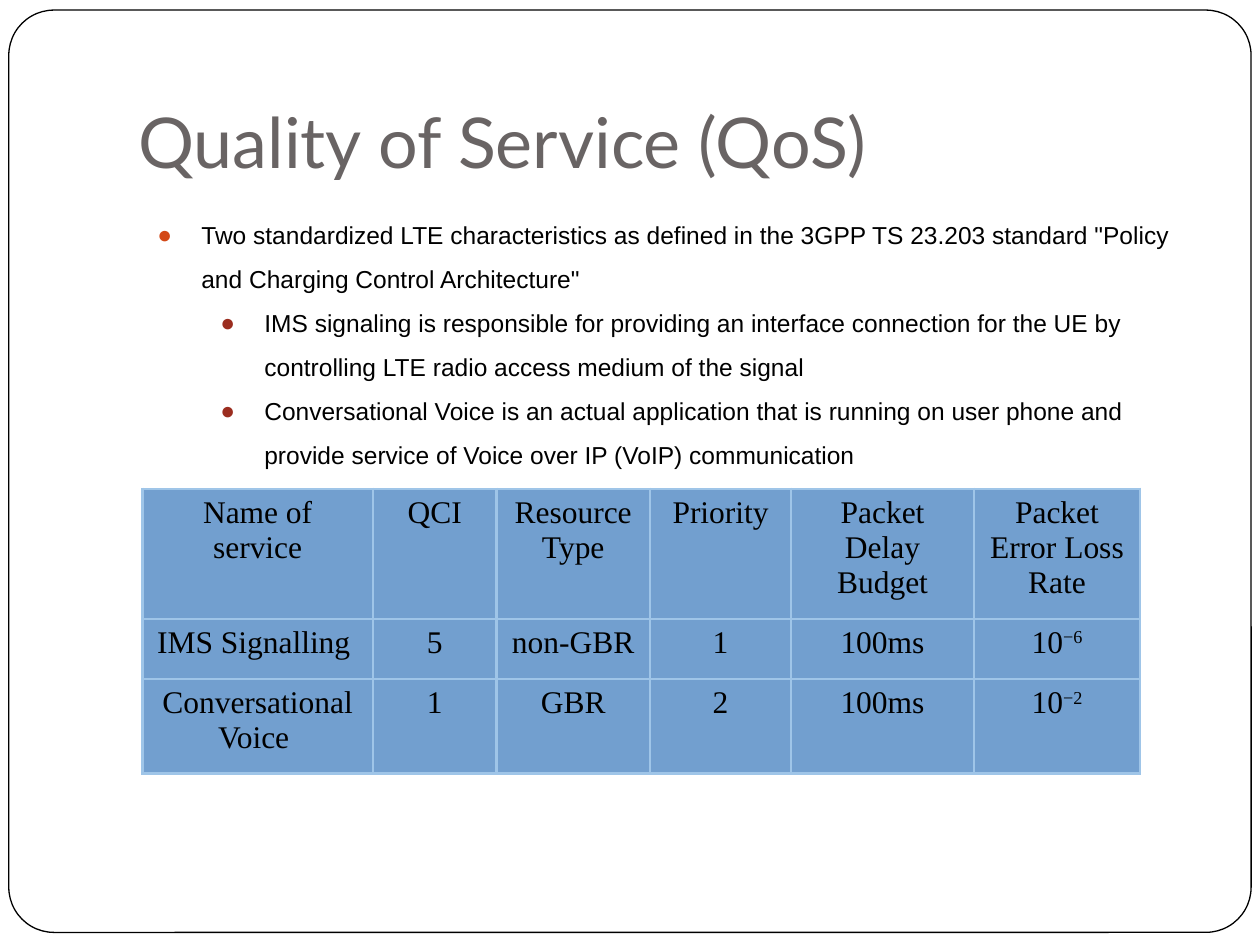
from lxml import etree
from pptx import Presentation
from pptx import util as u
from pptx.dml import color
from pptx.enum import shapes, text
from pptx.oxml import ns

COLUMNS, ROWS = 100, 75
CELL = u.Inches(0.1)

TITLE = "Quality of Service (QoS)"
POINTS = [
    (0, "D34817", 'Two standardized LTE characteristics as defined in the 3GPP TS 23.203 '
                  'standard "Policy and Charging Control Architecture"'),
    (1, "9B2D1F", "IMS signaling is responsible for providing an interface connection for the UE by "
                  "controlling LTE radio access medium of the signal"),
    (1, "9B2D1F", "Conversational Voice is an actual application that is running on user phone and "
                  "provide service of Voice over IP (VoIP) communication"),
]
SERVICES = [
    ["Name of service", "QCI", "Resource Type", "Priority", "Packet Delay Budget", "Packet Error Loss Rate"],
    ["IMS Signalling ", "5", "non-GBR", "1", "100ms", "10^−6"],
    ["Conversational Voice ", "1", "GBR", "2", "100ms", "10^−2"],
]
SERVICE_COLUMNS = [18.3, 9.8, 12.2, 11.2, 14.5, 13.2]
SERVICE_ROWS = [10.3, 4.8, 7.5]


def grid(count):
    return u.Emu(round(count * CELL))


def rgb(value):
    return color.RGBColor.from_string(value)


def add_xml(parent, tag, **attributes):
    return etree.SubElement(parent, ns.qn(tag), attributes)


def style_span(span, font, size, value):
    span.font.name = font
    span.font.size = u.Pt(size)
    span.font.bold = False
    span.font.color.rgb = rgb(value)


def add_frame(page, box):
    frame = page.shapes.add_shape(shapes.MSO_SHAPE.ROUNDED_RECTANGLE, *map(grid, box))
    frame.adjustments[0] = 0.049
    frame.shadow.inherit = False
    frame.fill.solid()
    frame.fill.fore_color.rgb = rgb("FFFFFF")
    frame.line.color.rgb = rgb("000000")
    frame.line.width = u.Pt(0.75)


def add_title(page, box):
    frame = page.shapes.add_textbox(*map(grid, box)).text_frame
    frame.word_wrap = True
    frame.vertical_anchor = text.MSO_ANCHOR.BOTTOM
    frame.margin_bottom = grid(1)
    frame.text = TITLE
    style_span(frame.paragraphs[0].runs[0], "Lato", 40, "696464")


def add_points(page, box):
    frame = page.shapes.add_textbox(*map(grid, box)).text_frame
    frame.word_wrap = True
    frame.text = "\n".join(words for _, _, words in POINTS)
    for para, (level, bullet, _) in zip(frame.paragraphs, POINTS):
        para.level = level
        para.line_spacing = 1.5
        style_span(para.runs[0], "Arial", 14, "000000")
        properties = para._p.get_or_add_pPr()
        properties.set("marL", str(grid(5 * (level + 1))))
        properties.set("indent", str(grid(-3.5)))
        add_xml(add_xml(properties, "a:buClr"), "a:srgbClr", val=bullet)
        add_xml(properties, "a:buFont", typeface="Arial")
        add_xml(properties, "a:buChar", char="●")


def add_borders(cell, value, width):
    properties = cell._tc.get_or_add_tcPr()
    for side in ("a:lnL", "a:lnR", "a:lnT", "a:lnB"):
        line = add_xml(properties, side, w=str(u.Pt(width)))
        add_xml(add_xml(line, "a:solidFill"), "a:srgbClr", val=value)


def fill_cell(cell, words):
    add_borders(cell, "9FC5E8", 1.47)
    cell.fill.solid()
    cell.fill.fore_color.rgb = rgb("729FCF")
    base, _, exponent = words.partition("^")
    cell.text_frame.text = base
    para = cell.text_frame.paragraphs[0]
    para.alignment = text.PP_ALIGN.CENTER
    if exponent:
        raised = para.add_run()
        raised.text = exponent
        raised.font._element.set("baseline", "30000")
    for span in para.runs:
        style_span(span, "Times New Roman", 18, "000000")


def add_services(page, box):
    table = page.shapes.add_table(len(SERVICE_ROWS), len(SERVICE_COLUMNS), *map(grid, box)).table
    table.first_row = False
    table.horz_banding = False
    for column, width in zip(table.columns, SERVICE_COLUMNS):
        column.width = grid(width)
    for row, height, service in zip(table.rows, SERVICE_ROWS, SERVICES):
        row.height = grid(height)
        for cell, words in zip(row.cells, service):
            fill_cell(cell, words)


def main():
    deck = Presentation()
    deck.slide_width, deck.slide_height = grid(COLUMNS), grid(ROWS)
    page = deck.slides.add_slide(deck.slide_layouts[6])
    add_frame(page, (0.7, 0.8, 98.6, 73.2))
    add_title(page, (10, 3, 85, 12.5))
    add_points(page, (10, 15.8, 85, 50))
    add_services(page, (11.3, 38.8, sum(SERVICE_COLUMNS), sum(SERVICE_ROWS)))
    deck.save("out.pptx")


if __name__ == "__main__":
    main()
